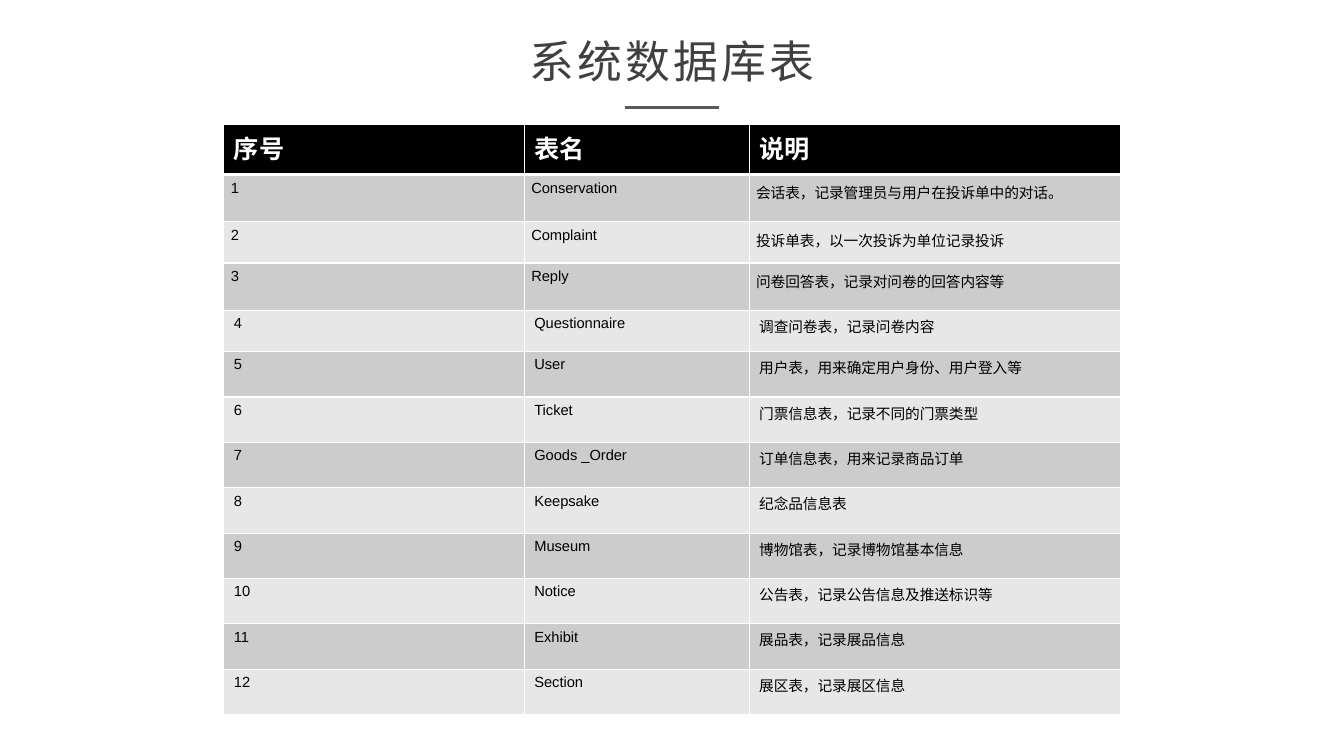
from dataclasses import dataclass

from lxml.etree import SubElement
from pptx import Presentation
from pptx.dml.color import RGBColor
from pptx.enum.shapes import MSO_CONNECTOR
from pptx.enum.text import MSO_ANCHOR, MSO_AUTO_SIZE, PP_ALIGN
from pptx.oxml.ns import qn
from pptx.util import Inches, Pt


@dataclass(frozen=True)
class Theme:
    chinese_font: str = "Noto Sans CJK SC"
    latin_font: str = "Arial"
    title_color: str = "404040"
    rule_color: str = "595959"
    header_fill: str = "000000"
    odd_fill: str = "CCCCCC"
    even_fill: str = "E7E7E7"
    border_color: str = "FFFFFF"
    header_color: str = "FFFFFF"
    body_color: str = "000000"
    title_size: float = 32
    header_size: float = 18
    body_size: float = 10.5
    rule_width: float = 2.25
    border_width: float = 1
    header_border_width: float = 3


THEME = Theme()
SLIDE_WIDTH, SLIDE_HEIGHT = 13.33, 7.5

TITLE = "系统数据库表"
HEADERS = ("序号", "表名", "说明")
DATABASE_TABLES = (
    ("Conservation", "会话表，记录管理员与用户在投诉单中的对话。"),
    ("Complaint", "投诉单表，以一次投诉为单位记录投诉"),
    ("Reply", "问卷回答表，记录对问卷的回答内容等"),
    ("Questionnaire", "调查问卷表，记录问卷内容"),
    ("User", "用户表，用来确定用户身份、用户登入等"),
    ("Ticket", "门票信息表，记录不同的门票类型"),
    ("Goods _Order", "订单信息表，用来记录商品订单"),
    ("Keepsake", "纪念品信息表"),
    ("Museum", "博物馆表，记录博物馆基本信息"),
    ("Notice", "公告表，记录公告信息及推送标识等"),
    ("Exhibit", "展品表，记录展品信息"),
    ("Section", "展区表，记录展区信息"),
)
COLUMN_WIDTHS = (2.98, 2.23, 3.68)
ROW_HEIGHTS = (0.5, 0.47, 0.41, 0.47, 0.41) + (0.45,) * 8
JUSTIFIED_ROWS = range(1, 4)


def add_run(paragraph, text, size, color, latin_font, bold=False):
    run = paragraph.add_run()
    run.text = text
    run.font.size = Pt(size)
    run.font.bold = bold
    run.font.color.rgb = RGBColor.from_string(color)
    run.font.name = latin_font
    properties = run.font._element
    SubElement(properties, qn("a:ea")).set("typeface", THEME.chinese_font)
    return run


def add_title(slide, left, top, width, height):
    title = slide.shapes.title
    title.left, title.top = Inches(left), Inches(top)
    title.width, title.height = Inches(width), Inches(height)
    frame = title.text_frame
    frame.auto_size = MSO_AUTO_SIZE.NONE
    frame.word_wrap = True
    frame.vertical_anchor = MSO_ANCHOR.MIDDLE
    frame.margin_left = frame.margin_right = Inches(0.07)
    frame.margin_top = frame.margin_bottom = Inches(0.04)
    paragraph = frame.paragraphs[0]
    paragraph.alignment = PP_ALIGN.CENTER
    paragraph.line_spacing = 1
    run = add_run(paragraph, TITLE, THEME.title_size, THEME.title_color, THEME.chinese_font)
    run.font._element.set("spc", "220")


def add_title_rule(slide, left, top, width):
    rule = slide.shapes.add_connector(
        MSO_CONNECTOR.STRAIGHT, Inches(left), Inches(top), Inches(left + width), Inches(top)
    )
    rule.line.color.rgb = RGBColor.from_string(THEME.rule_color)
    rule.line.width = Pt(THEME.rule_width)
    SubElement(rule._element.spPr, qn("a:effectLst"))


def set_borders(cell, top_width, bottom_width):
    """Border lines come before the fill in the cell properties."""
    properties = cell._tc.get_or_add_tcPr()
    side_width = THEME.border_width
    widths = {"L": side_width, "R": side_width, "T": top_width, "B": bottom_width}
    for position, (side, width) in enumerate(widths.items()):
        line = SubElement(properties, qn(f"a:ln{side}"), w=str(Pt(width)))
        fill = SubElement(line, qn("a:solidFill"))
        SubElement(fill, qn("a:srgbClr"), val=THEME.border_color)
        properties.insert(position, line)


def fill_cell(cell, text, row):
    cell.fill.solid()
    paragraph = cell.text_frame.paragraphs[0]
    if row == 0:
        fill = THEME.header_fill
        add_run(paragraph, text, THEME.header_size, THEME.header_color,
                THEME.chinese_font, bold=True)
    else:
        fill = THEME.odd_fill if row % 2 else THEME.even_fill
        add_run(paragraph, text, THEME.body_size, THEME.body_color, THEME.latin_font)
    cell.fill.fore_color.rgb = RGBColor.from_string(fill)
    if row in JUSTIFIED_ROWS:
        cell.margin_left = cell.margin_right = Inches(0.07)
        cell.margin_top = cell.margin_bottom = 0
        paragraph.alignment = PP_ALIGN.JUSTIFY
        paragraph.line_spacing = 1.35
    thin, thick = THEME.border_width, THEME.header_border_width
    set_borders(cell, thick if row == 1 else thin, thick if row == 0 else thin)


def add_database_table(slide, left, top):
    records = [HEADERS] + [
        (str(number), *entry) for number, entry in enumerate(DATABASE_TABLES, start=1)
    ]
    table = slide.shapes.add_table(
        len(records), len(HEADERS), Inches(left), Inches(top),
        Inches(sum(COLUMN_WIDTHS)), Inches(sum(ROW_HEIGHTS)),
    ).table
    for column, width in zip(table.columns, COLUMN_WIDTHS):
        column.width = Inches(width)
    for row, (record, height) in enumerate(zip(records, ROW_HEIGHTS)):
        table.rows[row].height = Inches(height)
        for column, text in enumerate(record):
            fill_cell(table.cell(row, column), text, row)


def main():
    presentation = Presentation()
    presentation.slide_width = Inches(SLIDE_WIDTH)
    presentation.slide_height = Inches(SLIDE_HEIGHT)
    slide = presentation.slides.add_slide(presentation.slide_layouts.get_by_name("Title Only"))

    # Title and the short rule below it, both centred on the slide
    title_width, rule_width = 3.76, 0.93
    add_title(slide, (SLIDE_WIDTH - title_width) / 2, 0.04 * SLIDE_HEIGHT, title_width, 0.61)
    add_title_rule(slide, (SLIDE_WIDTH - rule_width) / 2, 1.07, rule_width)

    # Table of database tables, centred
    add_database_table(slide, (SLIDE_WIDTH - sum(COLUMN_WIDTHS)) / 2, 1.23)

    presentation.save("out.pptx")


if __name__ == "__main__":
    main()
